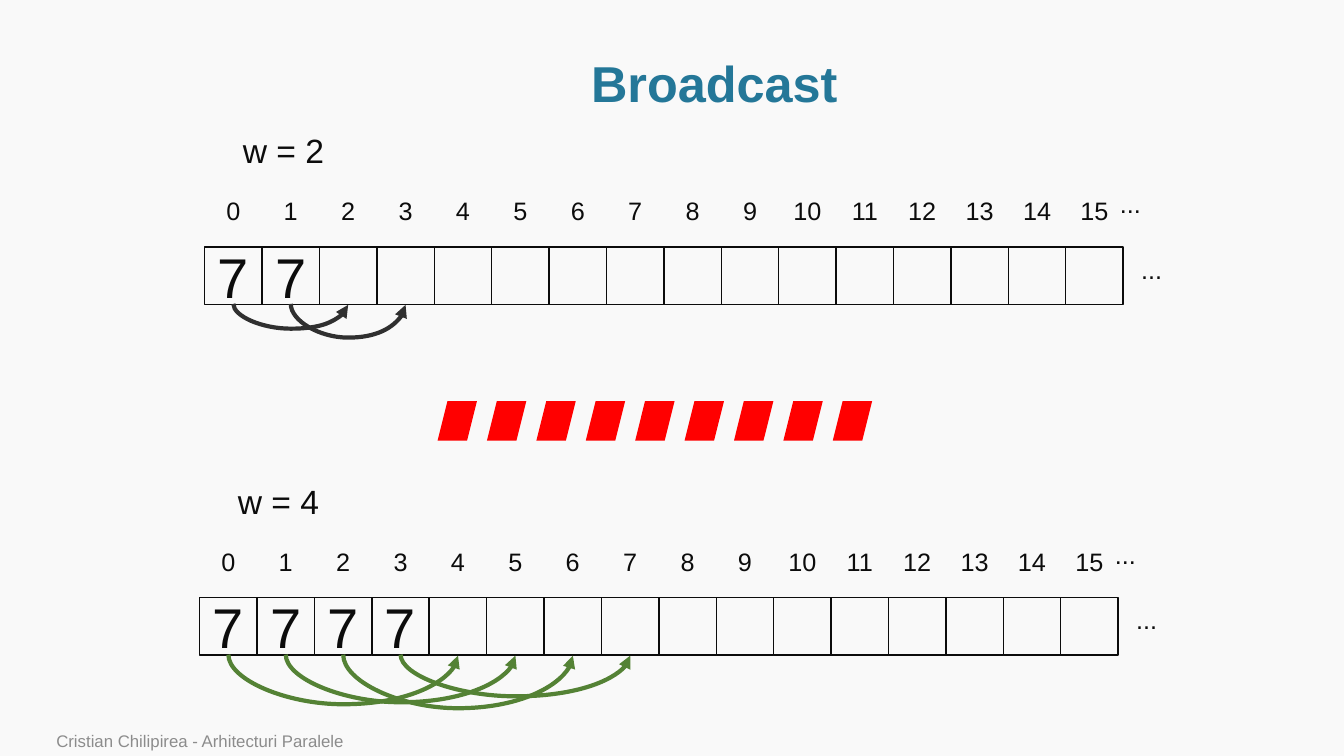
from lxml.etree import SubElement
from pptx import Presentation
from pptx.dml.color import RGBColor
from pptx.enum.shapes import MSO_CONNECTOR, MSO_SHAPE
from pptx.enum.text import MSO_ANCHOR, PP_ALIGN
from pptx.oxml.ns import qn
from pptx.util import Inches, Pt

# Content
TITLE = "Broadcast"
FOOTER = "Cristian Chilipirea - Arhitecturi Paralele"
INK, GREY, RED = "0C0C0C", "8C8C8C", "FF0000"
COLS = 16
# Each step: label, row left, row top, value, filled cells, arc colour, arc drops
STEPS = [
    ("w = 2", 2.03, 2.45, "7", 2, "303030", (0.25, 0.34)),
    ("w = 4", 1.98, 5.93, "7", 4, "548235", (0.5, 0.48, 0.54, 0.42)),
]
CELL = 9.11 / COLS
TILES, TILE, PITCH = 9, 0.39, 0.49
RISE = 0.01  # height difference between the two ends of an arc

deck = Presentation()
deck.slide_width, deck.slide_height = Inches(13.33), Inches(7.5)
slide = deck.slides.add_slide(deck.slide_layouts[6])
shapes = slide.shapes


def color(code):
    return RGBColor.from_string(code)


def write(frame, text, size, ink=INK, align=PP_ALIGN.LEFT, bold=False):
    para = frame.paragraphs[0]
    para.text, para.alignment = text, align
    font = para.font
    font.name, font.size, font.bold = "Arial", Pt(size), bold
    font.color.rgb = color(ink)
    return para


def label(text, x, y, w, h, size, wrap=False, anchor=MSO_ANCHOR.TOP, **style):
    frame = shapes.add_textbox(*map(Inches, (x, y, w, h))).text_frame
    frame.word_wrap, frame.vertical_anchor = wrap, anchor
    return write(frame, text, size, **style)


def block(kind, x, y, side):
    shape = shapes.add_shape(kind, *map(Inches, (x, y, side, side)))
    shape.shadow.inherit = False
    return shape


def arc(x, y, span, drop, ink):
    # A tall thin connector, turned on its side so that it hangs below the row
    mid = x + span / 2
    left, top = mid - RISE / 2, y - span / 2
    line = shapes.add_connector(
        MSO_CONNECTOR.CURVE,
        *map(Inches, (left, top, left + RISE, top + span)))
    line.line.color.rgb, line.line.width = color(ink), Pt(3)
    props = line._element.spPr
    frame = props.find(qn("a:xfrm"))
    frame.set("rot", "16200000")
    frame.set("flipH", "1")
    bend = props.find(qn("a:prstGeom")).get_or_add_avLst()
    SubElement(bend, qn("a:gd"), name="adj1",
               fmla=f"val {round(drop / RISE * 100000)}")
    SubElement(props.find(qn("a:ln")), qn("a:tailEnd"), type="triangle")
    SubElement(props, qn("a:effectLst"))


# Background and title
slide.background.fill.solid()
slide.background.fill.fore_color.rgb = color("F9F9F9")
head = label(TITLE, 1.14, 0.51, 11.89, 0.69, 36, wrap=True,
             anchor=MSO_ANCHOR.MIDDLE, ink="247798",
             align=PP_ALIGN.CENTER, bold=True)
head.line_spacing = 0.9

# Array rows
for name, left, top, value, full, ink, drops in STEPS:
    label(name, left + 0.28, top - 1.21, 1.02, 0.5, 24)
    for col in range(COLS):
        x = left + col * CELL
        cell = block(MSO_SHAPE.RECTANGLE, x, top, CELL)
        cell.fill.background()
        cell.line.color.rgb, cell.line.width = color(INK), Pt(1)
        if col < full:
            cell.text_frame.vertical_anchor = MSO_ANCHOR.MIDDLE
            write(cell.text_frame, value, 40, align=PP_ALIGN.CENTER)
        label(str(col), x, top - 0.56, CELL, 0.4, 18, align=PP_ALIGN.CENTER)
    label("...", left + 8.98, top - 0.63, 0.41, 0.4, 18)
    label("...", left + 9.19, top + 0.02, 0.41, 0.4, 18)
    for col, drop in enumerate(drops):
        arc(left + (col + 0.5) * CELL, top + CELL, full * CELL, drop, ink)

# Red barrier
for i in range(TILES):
    tile = block(MSO_SHAPE.PARALLELOGRAM, 4.34 + i * PITCH, 3.98, TILE)
    tile.fill.solid()
    tile.fill.fore_color.rgb = color(RED)
    tile.line.fill.background()

# Footer
label(FOOTER, 0.46, 7.22, 9.82, 0.28, 12, wrap=True,
      anchor=MSO_ANCHOR.BOTTOM, ink=GREY)

deck.save("out.pptx")
